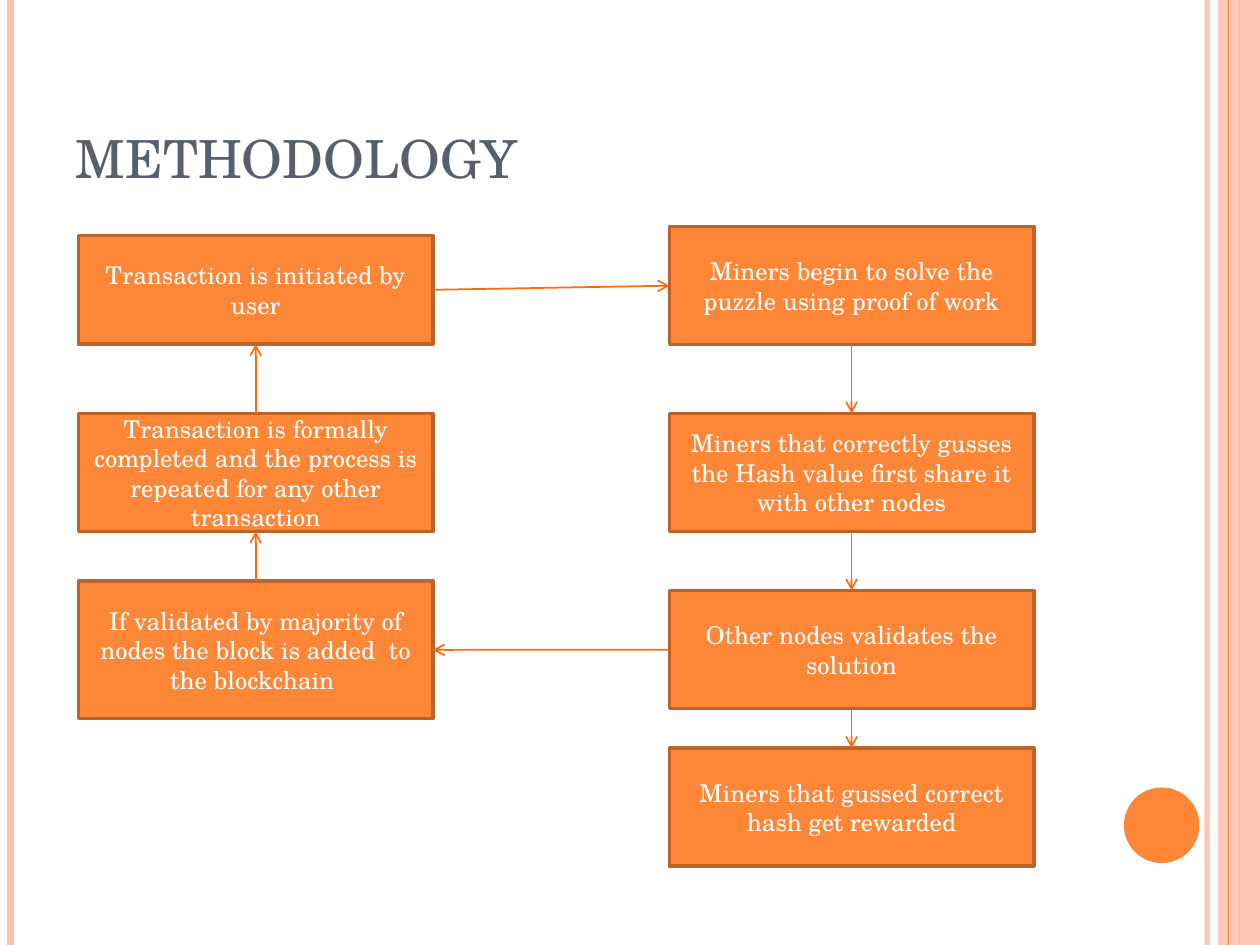
import pptx
import pptx.util
import pptx.dml.color
import pptx.enum.shapes
import pptx.enum.text
import pptx.oxml.ns
import lxml.etree

Pt = pptx.util.Pt
SHAPES = pptx.enum.shapes.MSO_SHAPE
STRAIGHT = pptx.enum.shapes.MSO_CONNECTOR.STRAIGHT
ALIGN = pptx.enum.text.PP_ALIGN
ANCHOR = pptx.enum.text.MSO_ANCHOR
FONT = "TeX Gyre Schola"
COLORS = {
    "title": "575F6D",
    "white": "FFFFFF",
    "orange": "FE8637",
    "border": "BC6329",
    "arrow": "FF6B0A",
    "peach": "FEC3AE",
}
TOP, LEFT, BOTTOM, RIGHT = range(4)


def color(name):
    return pptx.dml.color.RGBColor.from_string(COLORS[name])


def add_xml(parent, tag, **attributes):
    return lxml.etree.SubElement(parent, pptx.oxml.ns.qn(tag), attributes)


def set_opacity(shape, percent):
    properties = shape._element.spPr
    tone = next(properties.iter(pptx.oxml.ns.qn("a:srgbClr")))
    add_xml(tone, "a:alpha", val=str(percent * 1000))


def write_text(shape, text, size, tone, align, anchor):
    frame = shape.text_frame
    frame.word_wrap = True
    frame.auto_size = pptx.enum.text.MSO_AUTO_SIZE.NONE
    frame.vertical_anchor = anchor
    para = frame.paragraphs[0]
    para.alignment = align
    span = para.add_run()
    span.text = text
    span.font.name = FONT
    span.font.size = Pt(size)
    span.font.color.rgb = color(tone)


def add_box(page, kind, left, top, width, height, fill, border=None):
    box = page.shapes.add_shape(kind, Pt(left), Pt(top), Pt(width), Pt(height))
    box.shadow.inherit = False
    box.fill.solid()
    box.fill.fore_color.rgb = color(fill)
    if border:
        box.line.color.rgb = color(border)
        box.line.width = Pt(2)
    else:
        box.line.fill.background()
    return box


def add_line(page, start, end, tone, weight):
    line = page.shapes.add_connector(STRAIGHT, *map(Pt, start + end))
    line.line.color.rgb = color(tone)
    line.line.width = Pt(weight)
    add_xml(line._element.spPr, "a:effectLst")
    return line


def add_arrow(page, source, source_side, target, target_side):
    arrow = add_line(page, (0, 0), (0, 0), "arrow", 1)
    arrow.begin_connect(source, source_side)
    arrow.end_connect(target, target_side)
    outline = arrow.line._get_or_add_ln()
    add_xml(outline, "a:tailEnd", type="arrow")


def draw_frame(page, left, top, width, height):
    right, bottom = left + width, top + height

    def add_rule(offset, tone, weight):
        return add_line(page, (offset, top), (offset, bottom), tone, weight)

    set_opacity(add_rule(right - 30.25, "peach", 3), 93)
    add_rule(left + 6, "peach", 4.5)
    add_rule(right - 12, "orange", 1.5)
    band = add_box(page, SHAPES.RECTANGLE, right - 24, top, 24, height, "peach")
    set_opacity(band, 87)
    add_rule(right - 18, "orange", 0.75)
    add_box(page, SHAPES.OVAL, right - 77.75, bottom - 90, 43.2, 43.2, "orange")


def draw_title(page, text, left, top, width, height):
    title = page.shapes.title
    title.left, title.top = Pt(left), Pt(top)
    title.width, title.height = Pt(width), Pt(height)
    write_text(title, text, size=30, tone="title", align=ALIGN.LEFT, anchor=ANCHOR.BOTTOM)


def draw_column(page, steps, left, top, width):
    boxes = []
    for offset, height, text in steps:
        box = add_box(page, SHAPES.RECTANGLE, left, top + offset, width, height, "orange", "border")
        write_text(box, text, size=14, tone="white", align=ALIGN.CENTER, anchor=ANCHOR.MIDDLE)
        boxes.append(box)
    return boxes


def draw_flow(page, left, top, width):
    user_steps = [
        (5, 62.25, "Transaction is initiated by user"),
        (106.75, 67.5, "Transaction is formally completed and the process is repeated for any other transaction"),
        (202.5, 78.75, "If validated by majority of nodes the block is added  to the blockchain "),
    ]
    miner_steps = [
        (0, 67.5, "Miners begin to solve the puzzle using proof of work"),
        (106.75, 67.5, "Miners that correctly gusses the Hash value first share it with other nodes"),
        (208, 67.5, "Other nodes validates the solution"),
        (298, 67.5, "Miners that gussed correct hash get rewarded"),
    ]
    miner_width = 208.25
    users = draw_column(page, user_steps, left, top, 202.75)
    miners = draw_column(page, miner_steps, left + width - miner_width, top, miner_width)
    for upper, lower in zip(miners, miners[1:]):
        add_arrow(page, upper, BOTTOM, lower, TOP)
    add_arrow(page, miners[2], LEFT, users[2], RIGHT)
    for upper, lower in zip(users, users[1:]):
        add_arrow(page, lower, TOP, upper, BOTTOM)
    add_arrow(page, users[0], RIGHT, miners[0], LEFT)


def build_deck():
    deck = pptx.Presentation()
    deck.slide_width, deck.slide_height = Pt(720), Pt(540)
    page = deck.slides.add_slide(deck.slide_layouts[5])
    page.background.fill.solid()
    page.background.fill.fore_color.rgb = color("white")
    draw_frame(page, 0, 0, 720, 540)
    draw_title(page, "METHODOLOGY", 36, 21.6, 588, 90)
    draw_flow(page, 44.75, 129.5, 546)
    deck.save("out.pptx")


build_deck()
